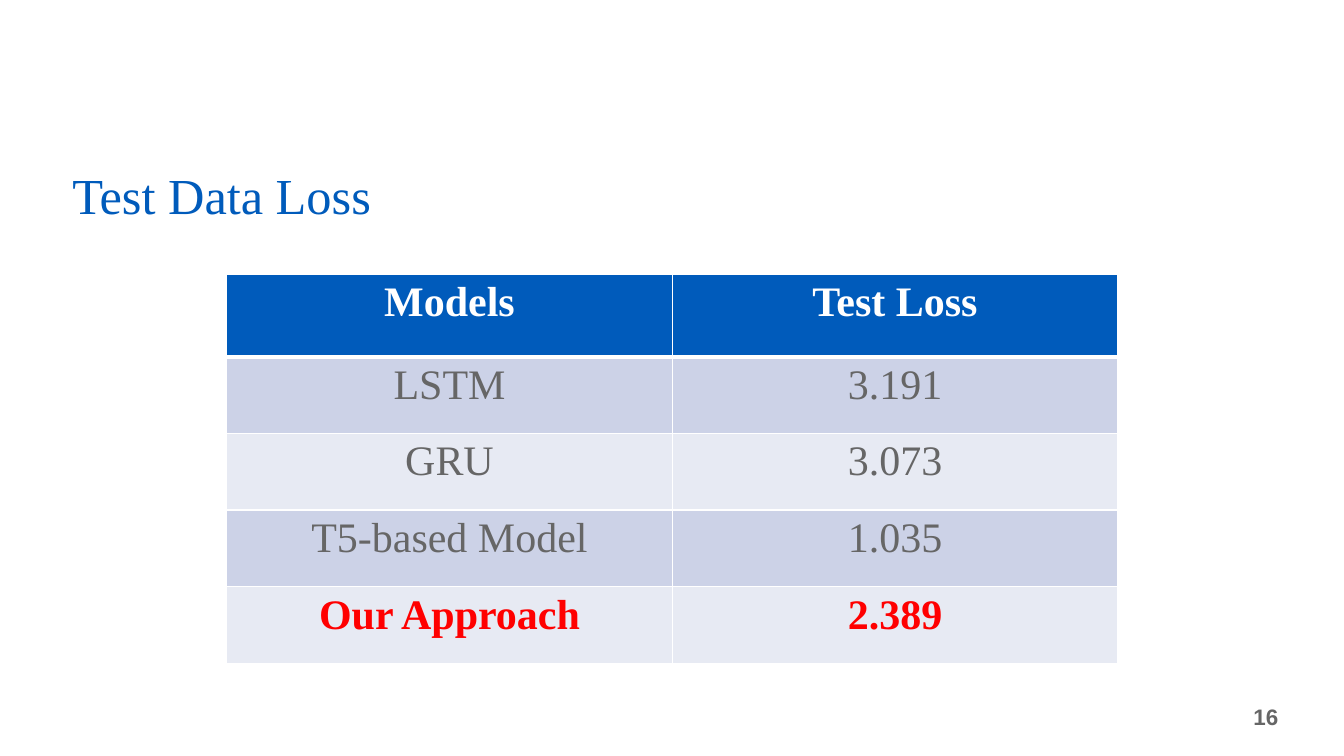
from typing import NamedTuple

from lxml import etree
from pptx import Presentation
from pptx import util as u
from pptx.dml.color import RGBColor
from pptx.enum import text
from pptx.oxml import ns

COLORS = {
    "blue": "005BBB",
    "white": "FFFFFF",
    "gray": "666666",
    "red": "FF0000",
    "band_dark": "CCD2E7",
    "band_light": "E7EAF3",
}
SERIF, SANS = "Times New Roman", "Arial"


class Box(NamedTuple):
    """Position and size in points."""
    left: float
    top: float
    width: float
    height: float


class Style(NamedTuple):
    """Look of one line of text."""
    font: str
    size: float
    color: str
    bold: bool = False
    align: text.PP_ALIGN = text.PP_ALIGN.LEFT


class Row(NamedTuple):
    """One table row: its wording, text colour, weight, fill and height."""
    model: str
    loss: str
    color: str
    bold: bool
    fill: str
    height: float = 54.72


ROWS = [
    Row("Models", "Test Loss", "white", True, "blue", 59.04),
    Row("LSTM", "3.191", "gray", False, "band_dark"),
    Row("GRU", "3.073", "gray", False, "band_light"),
    Row("T5-based Model", "1.035", "gray", False, "band_dark"),
    Row("Our Approach", "2.389", "red", True, "band_light"),
]


def write(text_frame, wording: str, style: Style) -> None:
    """Fill a text frame with one styled paragraph."""
    text_frame.text = wording
    paragraph = text_frame.paragraphs[0]
    paragraph.alignment = style.align
    font = paragraph.runs[0].font
    font.name, font.size, font.bold = style.font, u.Pt(style.size), style.bold
    font.color.rgb = RGBColor.from_string(COLORS[style.color])


def add_label(slide, box: Box, wording: str, style: Style, anchor: text.MSO_ANCHOR):
    """Add a wrapped text box and return its paragraph."""
    shape = slide.shapes.add_textbox(*map(u.Pt, box))
    text_frame = shape.text_frame
    text_frame.word_wrap = True
    text_frame.vertical_anchor = anchor
    write(text_frame, wording, style)
    return text_frame.paragraphs[0]


def set_borders(cell, top: float, bottom: float) -> None:
    """Draw white cell borders, with widths in points."""
    properties = cell._tc.get_or_add_tcPr()
    widths = {"a:lnL": 1, "a:lnR": 1, "a:lnT": top, "a:lnB": bottom}
    for index, (tag, width) in enumerate(widths.items()):
        line = etree.Element(ns.qn(tag), w=str(u.Pt(width)))
        fill = etree.SubElement(line, ns.qn("a:solidFill"))
        etree.SubElement(fill, ns.qn("a:srgbClr"), val=COLORS["white"])
        properties.insert(index, line)


def add_loss_table(slide, box: Box, rows: list[Row]) -> None:
    """Add the table of models, with a heavy rule under its header."""
    table = slide.shapes.add_table(len(rows), 2, *map(u.Pt, box)).table
    for column in table.columns:
        column.width = u.Pt(box.width / 2)
    for index, row in enumerate(rows):
        table.rows[index].height = u.Pt(row.height)
        style = Style(SERIF, 30, row.color, row.bold, text.PP_ALIGN.CENTER)
        for cell, wording in zip(table.rows[index].cells, (row.model, row.loss)):
            write(cell.text_frame, wording, style)
            cell.fill.solid()
            cell.fill.fore_color.rgb = RGBColor.from_string(COLORS[row.fill])
            set_borders(cell, top=3 if index == 1 else 1, bottom=3 if index == 0 else 1)


def main() -> None:
    """Build and save the slide."""
    presentation = Presentation()
    presentation.slide_width, presentation.slide_height = u.Pt(960), u.Pt(540)
    slide = presentation.slides.add_slide(presentation.slide_layouts[6])
    title = add_label(slide, Box(44.64, 118.08, 547.2, 46.8), "Test Data Loss",
                      Style(SERIF, 36, "blue"), text.MSO_ANCHOR.BOTTOM)
    title.line_spacing = 0.9
    table_height = sum(row.height for row in ROWS)
    add_loss_table(slide, Box(162, 195.84, 636.48, table_height), ROWS)
    add_label(slide, Box(596.16, 497.52, 324, 28.8), "16",
              Style(SANS, 16, "gray", True, text.PP_ALIGN.RIGHT), text.MSO_ANCHOR.MIDDLE)
    presentation.save("out.pptx")


main()
